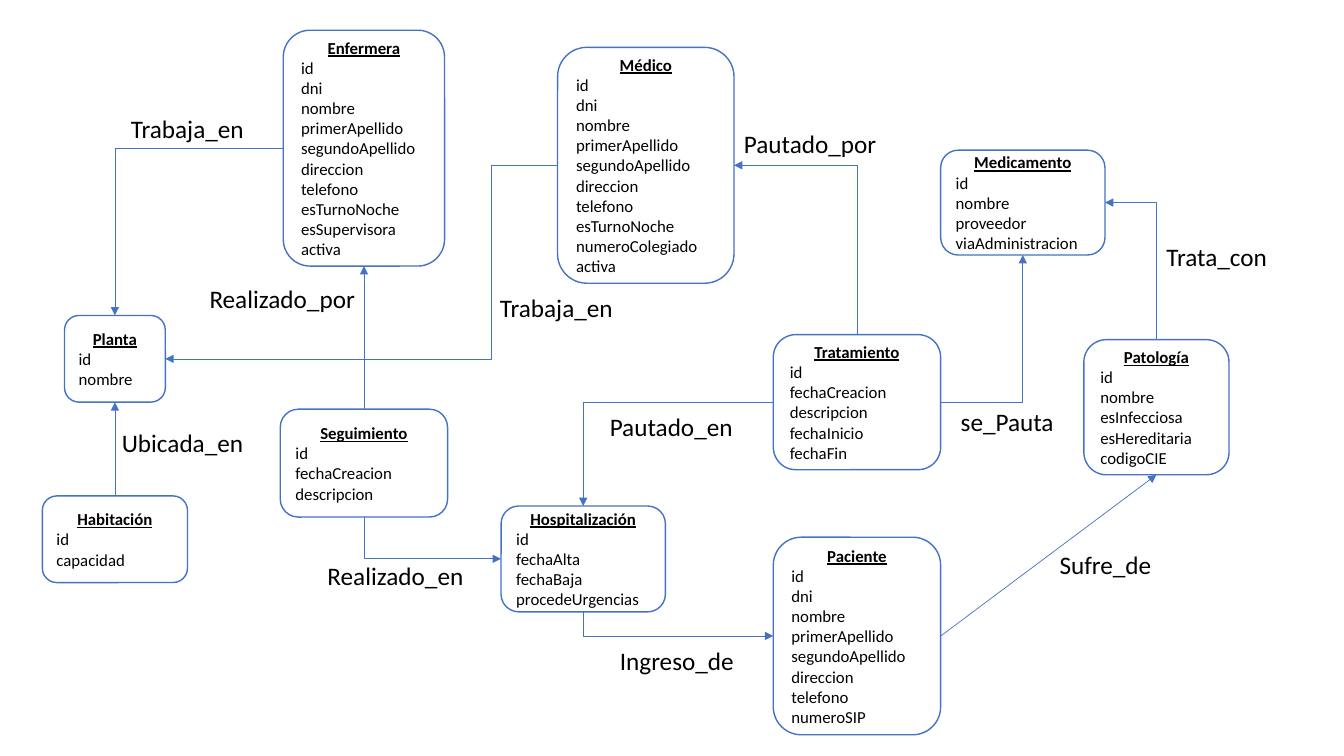
import pptx
import pptx.util
import pptx.dml.color
import pptx.enum.shapes
import pptx.enum.text
import pptx.oxml.ns
import lxml.etree

Inches = pptx.util.Inches
Pt = pptx.util.Pt
RGBColor = pptx.dml.color.RGBColor
ALIGN = pptx.enum.text.PP_ALIGN
CONNECTOR = pptx.enum.shapes.MSO_CONNECTOR
qn = pptx.oxml.ns.qn

BLUE = RGBColor(0x44, 0x72, 0xC4)
WHITE = RGBColor(0xFF, 0xFF, 0xFF)
BLACK = RGBColor(0, 0, 0)
TOP, LEFT, BOTTOM, RIGHT = range(4)


def write(p, text, size=12, bold=False, underline=False, align=ALIGN.LEFT):
    p.alignment = align
    r = p.add_run()
    r.text = text
    r.font.name = "Calibri"
    r.font.size = Pt(size)
    r.font.bold = bold
    r.font.underline = underline
    r.font.color.rgb = BLACK


prs = pptx.Presentation()
prs.slide_width = Inches(13.33)
prs.slide_height = Inches(7.5)
s = prs.slides.add_slide(prs.slide_layouts[6])

person = "id dni nombre primerApellido segundoApellido direccion telefono "
entities = [
    ("Enfermera", 2.81, 0.3, 1.6, 2.34, person + "esTurnoNoche esSupervisora activa"),
    ("Médico", 5.53, 0.47, 1.75, 2.34, person + "esTurnoNoche numeroColegiado activa"),
    ("Paciente", 7.67, 5.33, 1.66, 1.96, person + "numeroSIP"),
    ("Patología", 10.75, 3.37, 1.44, 1.34, "id nombre esInfecciosa esHereditaria codigoCIE"),
    ("Medicamento", 9.33, 1.49, 1.63, 1.04, "id nombre proveedor viaAdministracion"),
    ("Planta", 0.64, 3.13, 1, 0.86, "id nombre"),
    ("Habitación", 0.42, 4.92, 1.44, 0.86, "id capacidad"),
    ("Tratamiento", 7.67, 3.32, 1.66, 1.34, "id fechaCreacion descripcion fechaInicio fechaFin"),
    ("Seguimiento", 2.78, 4.06, 1.66, 1.07, "id fechaCreacion descripcion"),
    ("Hospitalización", 4.97, 5.02, 1.63, 1.05, "id fechaAlta fechaBaja procedeUrgencias"),
]
boxes = {}
for name, x, y, w, h, fields in entities:
    sp = s.shapes.add_shape(pptx.enum.shapes.MSO_SHAPE.ROUNDED_RECTANGLE,
                            Inches(x), Inches(y), Inches(w), Inches(h))
    sp.shadow.inherit = False
    sp.fill.solid()
    sp.fill.fore_color.rgb = WHITE
    sp.line.color.rgb = BLUE
    sp.line.width = Pt(1)
    tf = sp.text_frame
    tf.word_wrap = True
    tf.vertical_anchor = pptx.enum.text.MSO_ANCHOR.MIDDLE
    write(tf.paragraphs[0], name, bold=True, underline=True, align=ALIGN.CENTER)
    for field in fields.split():
        write(tf.add_paragraph(), field)
    boxes[name] = sp

relations = [
    ("Seguimiento", TOP, "Enfermera", BOTTOM, "line", "tailEnd"),
    ("Enfermera", LEFT, "Planta", TOP, "bentConnector2", "tailEnd"),
    ("Habitación", TOP, "Planta", BOTTOM, "line", "tailEnd"),
    ("Hospitalización", LEFT, "Seguimiento", BOTTOM, "bentConnector2", "headEnd"),
    ("Médico", LEFT, "Planta", RIGHT, "bentConnector3", "tailEnd"),
    ("Paciente", LEFT, "Hospitalización", BOTTOM, "bentConnector2", "headEnd"),
    ("Tratamiento", LEFT, "Hospitalización", TOP, "bentConnector2", "tailEnd"),
    ("Médico", RIGHT, "Tratamiento", TOP, "bentConnector2", "headEnd"),
    ("Tratamiento", RIGHT, "Medicamento", BOTTOM, "bentConnector2", "tailEnd"),
    ("Paciente", RIGHT, "Patología", BOTTOM, "line", "tailEnd"),
    ("Medicamento", RIGHT, "Patología", TOP, "bentConnector2", "headEnd"),
]
for start, start_side, end, end_side, preset, arrow in relations:
    kind = CONNECTOR.STRAIGHT if preset == "line" else CONNECTOR.ELBOW
    c = s.shapes.add_connector(kind, 0, 0, 0, 0)
    c.begin_connect(boxes[start], start_side)
    c.end_connect(boxes[end], end_side)
    c.line.color.rgb = BLUE
    c.line.width = Pt(0.5)
    spPr = c._element.spPr
    geom = spPr.find(qn("a:prstGeom"))
    geom.set("prst", preset)
    if preset == "bentConnector3":
        lxml.etree.SubElement(geom.find(qn("a:avLst")), qn("a:gd"), name="adj1", fmla="val 16800")
    lxml.etree.SubElement(spPr.find(qn("a:ln")), qn("a:" + arrow), type="triangle")
    lxml.etree.SubElement(spPr, qn("a:effectLst"))

labels = [
    ("Trabaja_en", 1.2, 1.08, 1.33),
    ("Trabaja_en", 4.86, 2.85, 1.33),
    ("Pautado_por", 7.28, 1.22, 1.53),
    ("Realizado_por", 1.98, 2.76, 1.66),
    ("Ubicada_en", 1.11, 4.19, 1.42),
    ("Sufre_de", 10.41, 5.4, 1.12),
    ("Ingreso_de", 6.05, 6.35, 1.35),
    ("Pautado_en", 5.95, 4.03, 1.43),
    ("Realizado_en", 3.15, 5.51, 1.57),
    ("se_Pauta", 9.43, 3.98, 1.13),
    ("Trata_con", 11.47, 2.34, 1.21),
]
for text, x, y, w in labels:
    tf = s.shapes.add_textbox(Inches(x), Inches(y), Inches(w), Inches(0.4)).text_frame
    tf.word_wrap = False
    tf.auto_size = pptx.enum.text.MSO_AUTO_SIZE.SHAPE_TO_FIT_TEXT
    write(tf.paragraphs[0], text, size=18)

prs.save("out.pptx")
